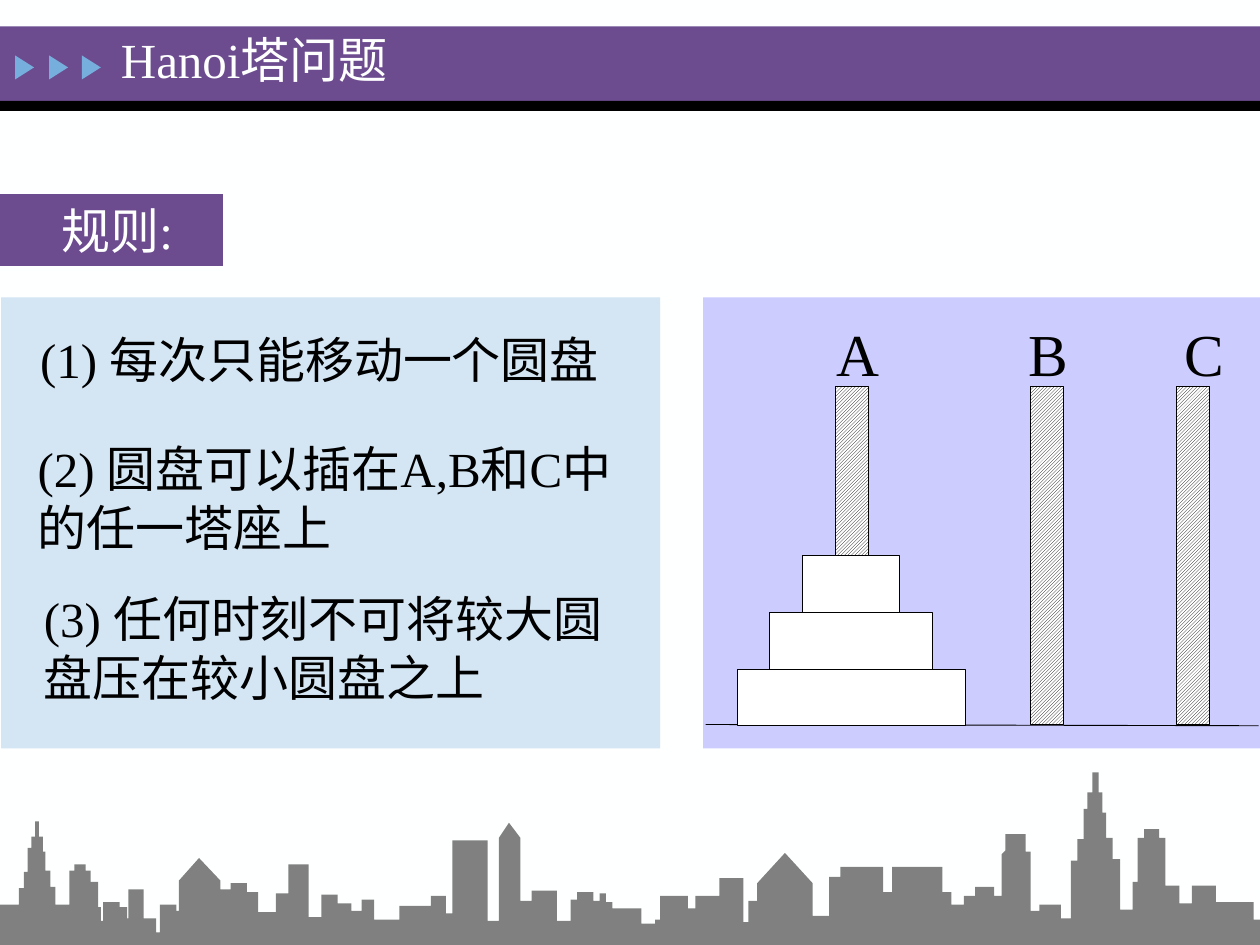
from dataclasses import dataclass

from lxml import etree
from pptx import Presentation, util as u
from pptx.dml.color import RGBColor
from pptx.enum import dml, shapes, text
from pptx.oxml import ns


@dataclass(frozen=True)
class Theme:
    font: str = "Times New Roman"
    body_size: int = 28
    peg_size: int = 34
    paper: str = "FEFFFF"
    ink: str = "000000"
    purple: str = "6C4C8F"
    arrow: str = "76AEDD"
    rules_panel: str = "D4E6F4"
    tower_panel: str = "CCCCFF"
    white: str = "FFFFFF"
    skyline: str = "808080"


theme = Theme()
color = RGBColor.from_string
ANCHOR = text.MSO_ANCHOR


def add_box(parent, left, top, width, height, fill, kind=shapes.MSO_SHAPE.RECTANGLE, outline=False):
    sp = parent.add_shape(kind, *map(u.Inches, (left, top, width, height)))
    sp.shadow.inherit = False
    sp.fill.solid()
    sp.fill.fore_color.rgb = color(fill)
    if outline:
        sp.line.color.rgb = color(theme.ink)
        sp.line.width = u.Pt(0.5)
    else:
        sp.line.fill.background()
    return sp


def write(sp, words, ink, size=theme.body_size, anchor=ANCHOR.TOP, wrap=True):
    """Put one left-aligned run into the shape and return its paragraph."""
    tf = sp.text_frame
    tf.word_wrap = wrap
    tf.auto_size = text.MSO_AUTO_SIZE.NONE
    tf.vertical_anchor = anchor
    p = tf.paragraphs[0]
    p.alignment = text.PP_ALIGN.LEFT
    r = p.add_run()
    r.text = words
    r.font.name = theme.font
    r.font.size = u.Pt(size)
    r.font.color.rgb = color(ink)
    return p


prs = Presentation()
prs.slide_width, prs.slide_height = u.Inches(10), u.Inches(7.5)
s = prs.slides.add_slide(prs.slide_layouts[5])
s.background.fill.solid()
s.background.fill.fore_color.rgb = color(theme.paper)

# Header band with three arrows
add_box(s.shapes, 0, 0.21, 10, 0.59, theme.purple)
add_box(s.shapes, 0, 0.8, 10, 0.08, theme.ink)
arrows = s.shapes.add_group_shape()
for left in (0.1, 0.37, 0.63):
    sp = add_box(arrows.shapes, left, 0.46, 0.19, 0.15, theme.arrow, shapes.MSO_SHAPE.ISOSCELES_TRIANGLE)
    sp.rotation = 90

# Rules
add_box(s.shapes, 0.01, 2.36, 5.23, 3.58, theme.rules_panel)
tag = add_box(s.shapes, 0, 1.54, 1.77, 0.57, theme.purple)
p = write(tag, "规则:", theme.paper)
p._p.get_or_add_pPr().set("marL", str(u.Inches(0.39)))

rules = [
    (0.22, 2.57, 4.69, 0.57, "(1) 每次只能移动一个圆盘"),
    (0.2, 3.43, 4.75, 1.04, "(2) 圆盘可以插在A,B和C中的任一塔座上"),
    (0.25, 4.62, 4.91, 1.04, "(3) 任何时刻不可将较大圆盘压在较小圆盘之上"),
]
for *place, words in rules:
    write(s.shapes.add_textbox(*map(u.Inches, place)), words, theme.ink)

# The title goes in front of the header band
title = s.shapes.title
title.left, title.top, title.width, title.height = map(u.Inches, (0.86, 0.18, 3.11, 0.57))
write(title, "Hanoi塔问题", theme.paper, anchor=ANCHOR.MIDDLE)
s.shapes._spTree.append(title._element)

# Tower diagram
tower = s.shapes.add_group_shape().shapes
add_box(tower, 5.58, 2.36, 4.42, 3.58, theme.tower_panel)
ground = tower.add_connector(shapes.MSO_CONNECTOR.STRAIGHT, *map(u.Inches, (5.6, 5.75, 9.99, 5.76)))
ground.line.color.rgb = color(theme.ink)
ground.line.width = u.Pt(0.5)
etree.SubElement(ground._element.spPr, ns.qn("a:effectLst"))

disk_height, disk_step = 0.45, 0.26
for level in range(3):
    add_box(tower, 5.85 + disk_step * level, 5.31 - disk_height * level,
            1.81 - 2 * disk_step * level, disk_height, theme.white, outline=True)

pegs = [("A", 6.63, 1.34, 6.64), ("B", 8.18, 2.68, 8.16), ("C", 9.34, 2.68, 9.4)]
for name, left, height, label_left in pegs:
    peg = add_box(tower, left, 3.07, 0.26, height, theme.white, outline=True)
    peg.fill.patterned()
    peg.fill.pattern = dml.MSO_PATTERN.LIGHT_UPWARD_DIAGONAL
    peg.fill.fore_color.rgb = color(theme.ink)
    peg.fill.back_color.rgb = color(theme.white)
    label = tower.add_textbox(*map(u.Inches, (label_left, 2.52, 0.34, 0.57)))
    tf = label.text_frame
    tf.margin_left = tf.margin_top = tf.margin_right = tf.margin_bottom = 0
    write(label, name, theme.ink, theme.peg_size, wrap=False)

# Skyline: each roof is (left, top), a gabled one adds (apex x, apex y)
roofs = [
    (0, 7.18), (0.15, 7.05), (0.19, 6.92), (0.22, 6.73), (0.25, 6.64), (0.28, 6.52),
    (0.31, 6.64), (0.34, 6.76), (0.36, 6.91), (0.4, 7.04), (0.44, 7.18), (0.55, 6.91),
    (0.59, 6.86), (0.68, 6.91), (0.72, 7), (0.78, 7.2), (0.8, 7.31), (0.82, 7.16),
    (0.95, 7.2), (1.01, 7.29), (1.02, 7.06), (1.14, 7.29), (1.24, 7.4), (1.27, 7.18),
    (1.4, 7.23), (1.42, 6.99, 1.58, 6.81), (1.75, 7.06), (1.83, 7.01), (1.96, 7.08),
    (2.05, 7.24), (2.19, 7.09), (2.29, 6.86), (2.45, 7.28), (2.55, 7.1), (2.68, 7.17),
    (2.79, 7.23), (2.87, 7.14), (2.97, 7.3), (3.17, 7.19), (3.42, 7.11), (3.54, 7.25),
    (3.59, 6.67), (3.87, 7.31), (3.96, 6.65, 4.04, 6.53), (4.13, 7.15), (4.22, 7.07),
    (4.42, 7.31), (4.53, 7.14), (4.58, 7.08), (4.71, 7.15), (4.76, 7.09), (4.81, 7.16),
    (4.86, 7.21), (5.09, 7.33), (5.2, 7.3), (5.24, 7.11), (5.46, 7.21), (5.52, 7.11),
    (5.71, 6.97), (5.9, 7.32), (5.94, 7.15), (6.01, 7.01, 6.23, 6.77), (6.45, 7.27),
    (6.58, 6.96), (6.67, 6.88), (7.01, 7.08), (7.08, 6.88), (7.48, 7.08), (7.55, 7.18),
    (7.65, 7.11), (7.74, 7.04), (7.89, 7.11), (7.95, 6.78, 7.98, 6.75), (7.98, 6.62),
    (8.14, 6.76), (8.18, 7.23), (8.25, 7.18), (8.42, 7.29), (8.5, 6.83), (8.55, 6.66),
    (8.6, 6.42), (8.63, 6.29), (8.67, 6.13), (8.72, 6.29), (8.75, 6.45), (8.78, 6.65),
    (8.83, 6.82), (8.89, 7.22), (8.99, 7), (9.03, 6.65), (9.08, 6.58), (9.2, 6.65),
    (9.25, 7.03), (9.36, 7.17), (9.46, 7.03), (9.65, 7.16), (9.95, 7.3), (10, 7.5),
]
outline = []
roof_top = 7.5
for left, top, *apex in roofs:
    outline += [(left, roof_top), (left, top)]
    if apex:
        outline.append(tuple(apex))
    roof_top = top
points = [(u.Inches(x), u.Inches(y)) for x, y in outline]
builder = s.shapes.build_freeform(*points[0])
builder.add_line_segments(points[1:], close=True)
city = builder.convert_to_shape()
city.shadow.inherit = False
city.fill.solid()
city.fill.fore_color.rgb = color(theme.skyline)
city.line.fill.background()

prs.save("out.pptx")
